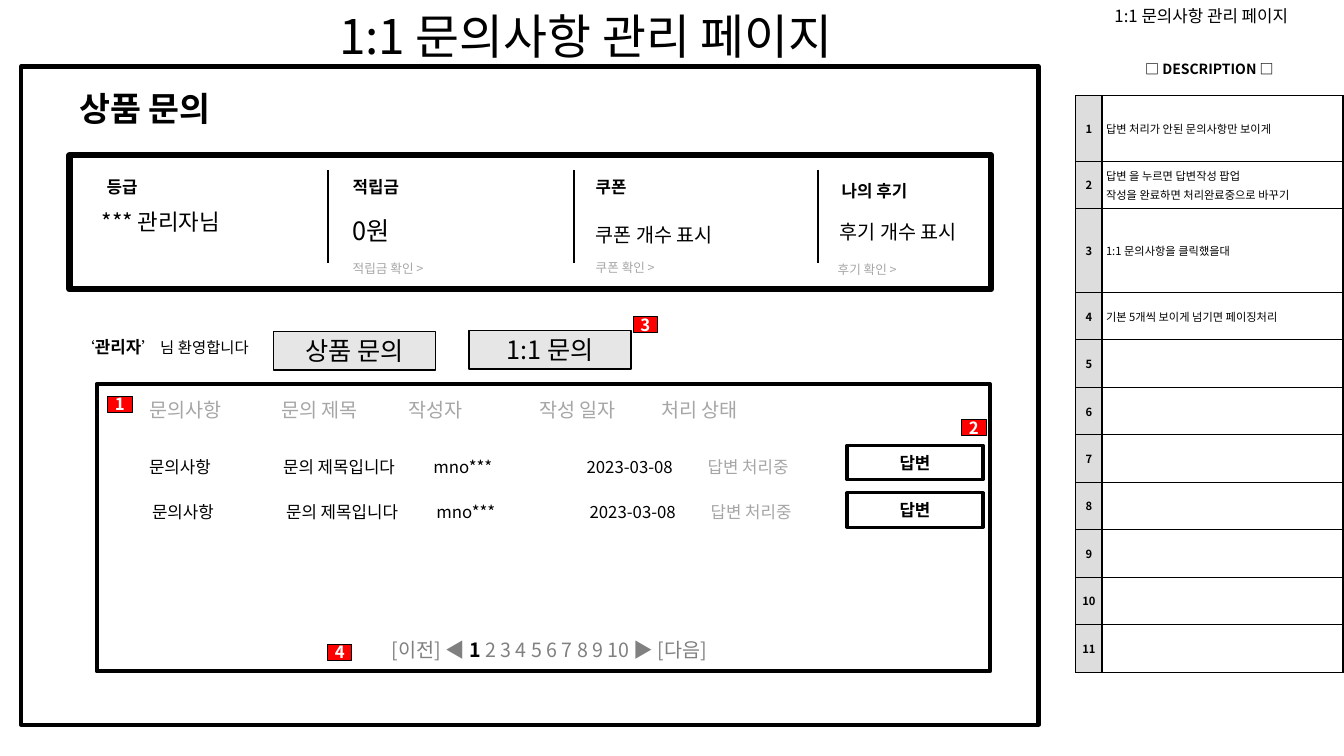
from lxml.etree import SubElement
from pptx import Presentation
from pptx.dml.color import RGBColor
from pptx.enum.shapes import MSO_CONNECTOR, MSO_SHAPE
from pptx.enum.text import MSO_ANCHOR, MSO_AUTO_SIZE, PP_ALIGN
from pptx.oxml.ns import qn
from pptx.util import Inches, Pt

FACE = "Noto Sans CJK KR"
HEX = {"black": "000000", "white": "FFFFFF", "pale": "A6A6A6", "gray": "808080",
       "red": "FF0000", "button": "E7E6E6", "index": "DDDDDD"}
TITLE = "1:1 문의사항 관리 페이지"
NOTES = ["답변 처리가 안된 문의사항만 보이게",
         "답변 을 누르면 답변작성 팝업\n작성을 완료하면 처리완료중으로 바꾸기",
         "1:1 문의사항을 클릭했을대", "기본 5개씩 보이게 넘기면 페이징처리"]


def tint(name):
    return RGBColor.from_string(HEX[name])


def style(font, size, color, bold):
    font.size, font.bold, font.name = Pt(size), bold, FACE
    font.color.rgb = tint(color)
    SubElement(font._element, qn("a:ea"), typeface=FACE)


def write(frame, text, size, color="black", bold=False, align=PP_ALIGN.LEFT):
    """Fill a frame; text is a string, or a list of (text, size, color, bold) runs."""
    lines = text.split("\n") if isinstance(text, str) else [text]
    for i, line in enumerate(lines):
        para = frame.add_paragraph() if i else frame.paragraphs[0]
        para.alignment = align
        if isinstance(line, str):
            para.text = line
            style(para.font, size, color, bold)
            continue
        for words, *look in line:
            run = para.add_run()
            run.text = words
            style(run.font, *look)


def label(slide, box, text, size, color="black", bold=False, align=PP_ALIGN.LEFT):
    frame = slide.shapes.add_textbox(*map(Inches, box)).text_frame
    frame.word_wrap = True
    write(frame, text, size, color, bold, align)
    return frame


def block(slide, box, width, fill=None, text="", size=12, color="black", bold=True):
    shape = slide.shapes.add_shape(MSO_SHAPE.RECTANGLE, *map(Inches, box))
    shape.shadow.inherit = False
    shape.line.color.rgb, shape.line.width = tint("black"), Pt(width)
    if fill:
        shape.fill.solid()
        shape.fill.fore_color.rgb = tint(fill)
    else:
        shape.fill.background()
    if text:
        shape.text_frame.vertical_anchor = MSO_ANCHOR.MIDDLE
        write(shape.text_frame, text, size, color, bold, PP_ALIGN.CENTER)
    return shape


def badge(slide, left, top, text):
    shape = block(slide, (left, top, 0.24, 0.16), 0.75, "red", text, 12, "white")
    shape.text_frame.word_wrap = False


def rule(slide, left):
    line = slide.shapes.add_connector(MSO_CONNECTOR.STRAIGHT, Inches(left), Inches(1.69),
                                      Inches(left), Inches(2.61))
    line.line.color.rgb, line.line.width = tint("black"), Pt(1.5)
    SubElement(line._element.spPr, qn("a:effectLst"))


def record(slide, left, top, text, size, color, stops):
    """One line of the inquiry list, its columns set by tab stops."""
    frame = label(slide, (left, top, 7.04, 0.3), text, size, color)
    tabs = SubElement(frame.paragraphs[0]._p.get_or_add_pPr(), qn("a:tabLst"))
    for stop in stops:
        SubElement(tabs, qn("a:tab"), pos=str(Inches(stop)), algn="l")
    props = tabs.getparent()
    base = props.find(qn("a:defRPr"))
    if base is not None:
        props.append(base)


def edge(cell, sides):
    props = cell._tc.get_or_add_tcPr()
    for i, side in enumerate(sides):
        line = SubElement(props, qn("a:ln" + side), w=str(Pt(1)))
        fill = SubElement(line, qn("a:solidFill"))
        SubElement(fill, qn("a:srgbClr"), val=HEX["black"])
        props.remove(line)
        props.insert(i, line)


def fill_cell(cell, text, fill, sides, size=8, bold=True, align=PP_ALIGN.CENTER):
    cell.fill.solid()
    cell.fill.fore_color.rgb = tint(fill)
    cell.vertical_anchor = MSO_ANCHOR.MIDDLE
    cell.margin_left = cell.margin_right = Inches(0.04)
    cell.margin_top = cell.margin_bottom = Inches(0.04)
    write(cell.text_frame, text, size, "black", bold, align)
    for para in cell.text_frame.paragraphs:
        para.space_before = Pt(size * 0.2)
    edge(cell, sides)


def notes_table(slide):
    grid = slide.shapes.add_table(12, 2, Inches(10.67), Inches(0.4),
                                  Inches(2.65), Inches(6.27)).table
    grid.first_row = grid.horz_banding = False
    for col, width in zip(grid.columns, (0.26, 2.39)):
        col.width = Inches(width)
    tall = {0: 0.55, 1: 0.65, 3: 0.83}
    rest = (6.27 - sum(tall.values())) / 9
    for i, row in enumerate(grid.rows):
        row.height = Inches(tall.get(i, rest))
    grid.cell(0, 0).merge(grid.cell(0, 1))
    fill_cell(grid.cell(0, 0), "□ DESCRIPTION □", "white", "B", 10)
    for i in range(1, 12):
        note = NOTES[i - 1] if i <= len(NOTES) else ""
        fill_cell(grid.cell(i, 0), str(i), "index", "LRTB")
        fill_cell(grid.cell(i, 1), note, "white", "LRTB", 8, False, PP_ALIGN.LEFT)


def main():
    deck = Presentation()
    deck.slide_width, deck.slide_height = Inches(13.33), Inches(7.5)
    slide = deck.slides.add_slide(deck.slide_layouts[5])

    # Titles and description table
    head = slide.shapes.title
    head.left, head.top, head.width, head.height = map(Inches, (0.81, 0.16, 10, 0.52))
    frame = head.text_frame
    frame.auto_size, frame.vertical_anchor = MSO_AUTO_SIZE.NONE, MSO_ANCHOR.MIDDLE
    write(frame, TITLE, 34.1, align=PP_ALIGN.CENTER)
    frame.paragraphs[0].line_spacing = 0.7
    notes_table(slide)
    side = label(slide, (10.67, -0.04, 2.49, 0.4), TITLE, 12, align=PP_ALIGN.CENTER)
    side.vertical_anchor = MSO_ANCHOR.MIDDLE

    # Page frame
    block(slide, (0.21, 0.66, 10.09, 6.53), 3)
    label(slide, (0.69, 0.82, 1.67, 0.5), "상품 문의", 24, bold=True)

    # Member summary: (left, top, text, size) of heading and value
    block(slide, (0.69, 1.54, 9.14, 1.33), 4.5)
    for left in (3.25, 5.69, 8.11):
        rule(slide, left)
    for left, top, text in ((0.96, 1.7, "등급"), (3.4, 1.7, "적립금"),
                            (5.81, 1.7, "쿠폰"), (8.25, 1.74, "나의 후기")):
        label(slide, (left, top, 1.41, 0.3), text, 12, bold=True)
    for left, top, text, size in ((0.91, 2.02, "*** 관리자님", 16), (3.4, 2.09, "0원", 18),
                                  (5.81, 2.16, "쿠폰 개수 표시", 14),
                                  (8.23, 2.13, "후기 개수 표시", 14)):
        label(slide, (left, top, 1.74, 0.37), text, size)
    for left, top, text in ((3.4, 2.54, "적립금 확인 >"), (5.81, 2.53, "쿠폰 확인 >"),
                            (8.21, 2.55, "후기 확인 >")):
        label(slide, (left, top, 1.01, 0.25), text, 9, "pale")

    # Greeting and tabs
    label(slide, (0.69, 3.29, 1.88, 0.3),
          [("‘", 11, "black", False), ("관리자", 12, "black", True),
           ("’ 님 환영합니다", 11, "black", False)], 11)
    for left, top, text in ((2.71, 3.29, "상품 문의"), (4.65, 3.28, "1:1 문의")):
        block(slide, (left, top, 1.61, 0.38), 1, "button", text, 18, bold=False)

    # Inquiry list
    block(slide, (0.96, 3.81, 8.86, 2.85), 3)
    record(slide, 1.38, 3.9, "문의사항\t문의 제목\t작성자\t작성 일자\t처리 상태", 14, "pale",
           (1.31, 2.57, 3.87, 5.08))
    entry = [("문의사항\t문의 제목입니다\tmno***\t2023-03-08\t", 12, "black", False),
             ("답변 처리중", 12, "pale", False)]
    for left, top in ((1.38, 4.48), (1.41, 4.93)):
        record(slide, left, top, entry, 12, "black", (1.33, 2.82, 4.34, 5.54))
    for top in (4.42, 4.89):
        block(slide, (8.4, top, 1.35, 0.34), 2.25, "white", "답변")

    # Pager
    label(slide, (1.96, 6.28, 6.98, 0.34),
          [("[이전] ◀ ", 14, "gray", False), ("1", 14, "black", True),
           (" 2 3 4 5 6 7 8 9 10 ▶ [다음]", 14, "gray", False)], 14, align=PP_ALIGN.CENTER)

    # Numbered markers
    spots = ((1.07, 3.93), (9.54, 4.16), (6.28, 3.14), (3.25, 6.39))
    for i, (left, top) in enumerate(spots, 1):
        badge(slide, left, top, str(i))

    deck.save("out.pptx")


main()
